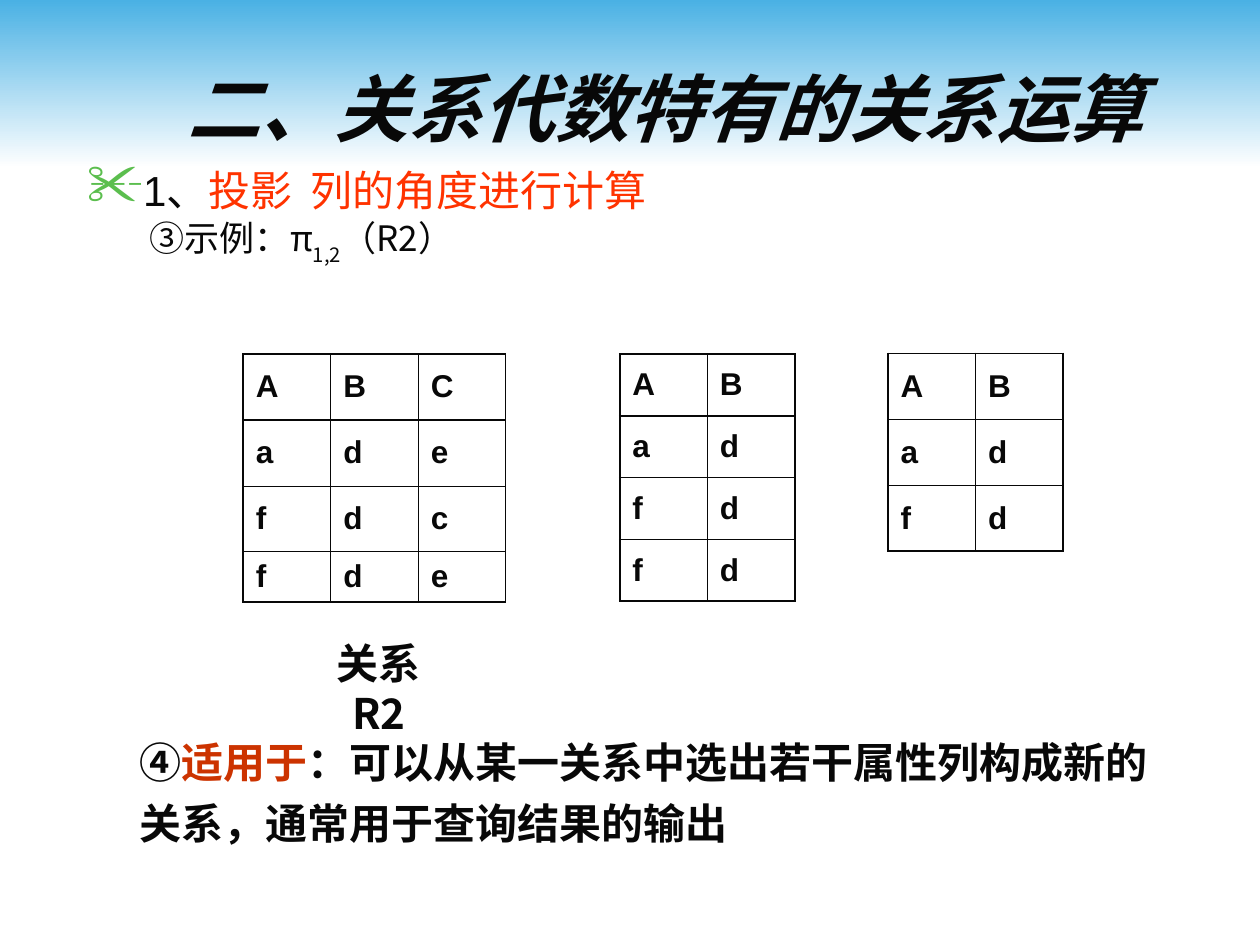
from dataclasses import dataclass

from lxml import etree
from pptx import Presentation
from pptx.dml.color import RGBColor
from pptx.enum import shapes, text
from pptx.oxml import ns
from pptx.util import Pt


@dataclass(frozen=True)
class Theme:
    ink: str = "080808"
    red: str = "FF3300"
    brick: str = "CC3300"
    green: str = "5BBE4E"
    sky: str = "4AB1E4"
    white: str = "FFFFFF"
    latin: str = "Arial"
    cjk: str = "Noto Sans CJK SC"
    title: int = 42
    body: int = 24
    example: int = 20
    cell: int = 18
    thick: float = 1.08
    thin: float = 0.45
    leading: float = 1.2


T = Theme()


def rgb(value):
    return RGBColor.from_string(value)


def add_run(p, words, size, color=T.ink, font=T.cjk, bold=False, italic=False):
    r = p.add_run()
    r.text = words
    r.font.size = Pt(size)
    r.font.name = font
    r.font.bold = bold
    r.font.italic = italic
    r.font.color.rgb = rgb(color)
    ea = etree.SubElement(r._r.get_or_add_rPr(), ns.qn("a:ea"))
    ea.set("typeface", T.cjk)
    return r


def set_indent(p, left, first=0):
    pPr = p._p.get_or_add_pPr()
    pPr.set("marL", str(Pt(left)))
    pPr.set("indent", str(Pt(first)))


def set_bullet(p, char, color, percent):
    pPr = p._p.get_or_add_pPr()
    clr = etree.SubElement(pPr, ns.qn("a:buClr"))
    etree.SubElement(clr, ns.qn("a:srgbClr")).set("val", color)
    etree.SubElement(pPr, ns.qn("a:buSzPct")).set("val", str(percent * 1000))
    etree.SubElement(pPr, ns.qn("a:buChar")).set("char", char)


def add_text(s, left, top, width, height, side=7.2, upper=5.6, lower=3.6):
    tf = s.shapes.add_textbox(Pt(left), Pt(top), Pt(width), Pt(height)).text_frame
    tf.word_wrap = True
    tf.margin_left = tf.margin_right = Pt(side)
    tf.margin_top, tf.margin_bottom = Pt(upper), Pt(lower)
    return tf


def add_band(s):
    sp = s.shapes.add_shape(shapes.MSO_SHAPE.RECTANGLE, 0, 0, Pt(720), Pt(96))
    sp.shadow.inherit = False
    sp.line.fill.background()
    sp.fill.gradient()
    sp.fill.gradient_angle = 270
    for stop, color in zip(sp.fill.gradient_stops, (T.sky, T.white)):
        stop.color.rgb = rgb(color)


def set_borders(cell, widths):
    tcPr = cell._tc.get_or_add_tcPr()
    for i, (side, width) in enumerate(zip("LRTB", widths)):
        ln = etree.Element(ns.qn(f"a:ln{side}"), w=str(Pt(width)))
        fill = etree.SubElement(ln, ns.qn("a:solidFill"))
        etree.SubElement(fill, ns.qn("a:srgbClr")).set("val", T.ink)
        tcPr.insert(i, ln)


def add_relation(s, left, top, rows, heights):
    n, m = len(rows), len(rows[0])
    table = s.shapes.add_table(
        n, m, Pt(left), Pt(top), Pt(50 * m), Pt(sum(heights))).table
    table.first_row = table.horz_banding = False
    for column in table.columns:
        column.width = Pt(50)
    for i, (values, height) in enumerate(zip(rows, heights)):
        table.rows[i].height = Pt(height)
        for j, value in enumerate(values):
            cell = table.cell(i, j)
            cell.fill.background()
            cell.vertical_anchor = text.MSO_ANCHOR.MIDDLE
            add_run(cell.text_frame.paragraphs[0], value, T.cell, font=T.latin, bold=True)
            edges = (j == 0, j == m - 1, i <= 1, i in (0, n - 1))
            set_borders(cell, [T.thick if edge else T.thin for edge in edges])


def add_title(s):
    tf = add_text(s, 76.3, 18, 607.7, 68.4, lower=0)
    tf.vertical_anchor = text.MSO_ANCHOR.BOTTOM
    p = tf.paragraphs[0]
    p.alignment = text.PP_ALIGN.CENTER
    p.line_spacing = Pt(T.title * T.leading)
    add_run(p, "二、关系代数特有的关系运算", T.title, font=T.latin, bold=True, italic=True)


def add_body(s):
    tf = add_text(s, 42.5, 88.6, 635, 430.6)
    p = tf.paragraphs[0]
    set_indent(p, 27, -27)
    p.line_spacing = Pt(T.body * T.leading)
    set_bullet(p, "✂", T.green, 140)
    add_run(p, "1、", T.body, font=T.latin)
    add_run(p, "投影", T.body, T.red)
    gap = add_run(p, " ", T.body, T.red)
    gap.font._element.set("spc", "500")
    add_run(p, "列的角度进行计算", T.body, T.red)

    p = tf.add_paragraph()
    set_indent(p, 58.5, -22.5)
    p.line_spacing = Pt(T.example * T.leading)
    p.space_before = Pt(5)
    add_run(p, "③示例：π", T.example)
    sub = add_run(p, "1,2", T.example)
    sub.font._element.set("baseline", "-30000")
    add_run(p, "（R2）", T.example)


def add_label(s):
    p = add_text(s, 167.8, 358.6, 97.2, 36, side=20).paragraphs[0]
    p.alignment = text.PP_ALIGN.CENTER
    p.line_spacing = Pt(T.body * T.leading)
    add_run(p, "关系R2", T.body, bold=True)


def add_usage(s):
    p = add_text(s, 36.7, 409, 629.3, 76.3).paragraphs[0]
    set_indent(p, 36)
    p.line_spacing = Pt(35)
    add_run(p, "④", T.body, bold=True)
    add_run(p, "适用于", T.body, T.brick, bold=True)
    add_run(p, "：可以从某一关系中选出若干属性列构成新的关系，通常用于查询结果的输出",
            T.body, bold=True)


def main():
    prs = Presentation()
    prs.slide_width, prs.slide_height = Pt(720), Pt(540)
    s = prs.slides.add_slide(prs.slide_layouts[6])
    add_band(s)
    add_body(s)
    add_relation(s, 139, 202.3, ["ABC", "ade", "fdc", "fde"], [37.7] * 3 + [28.6])
    add_label(s)
    add_relation(s, 354.2, 202.3, ["AB", "ad", "fd", "fd"], [35.3] * 4)
    add_relation(s, 507.5, 202, ["AB", "ad", "fd"], [37.7] * 3)
    add_title(s)
    add_usage(s)
    prs.save("out.pptx")


if __name__ == "__main__":
    main()
